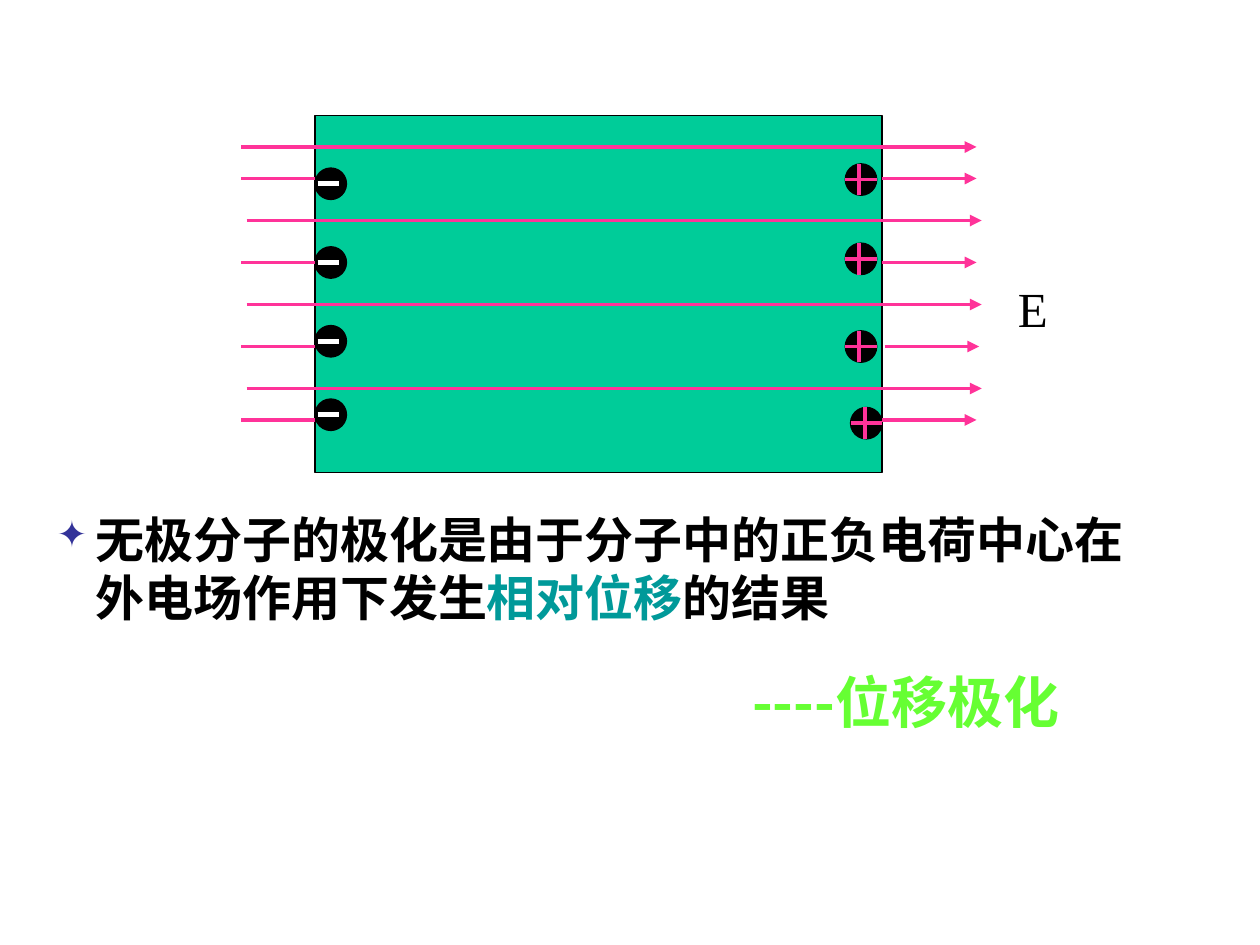
from dataclasses import dataclass

from lxml import etree
from pptx import Presentation
from pptx.dml.color import RGBColor
from pptx.enum import shapes, text
from pptx.oxml.ns import qn
from pptx.util import Inches, Pt

CELL = Inches(1) / 24
CHARGE = 6
PINK, BLACK, WHITE = "FF3399", "000000", "FFFFFF"
CHINESE = "Noto Sans CJK SC"


@dataclass
class Charge:
    column: float
    row: float
    positive: bool


@dataclass
class FieldLine:
    start: float
    end: float
    row: float
    arrow: bool = True


@dataclass
class Span:
    words: str
    size: float
    color: str
    font: str = CHINESE
    bold: bool = True


@dataclass
class Caption:
    column: float
    row: float
    width: float
    height: float
    spans: list[Span]
    wrap: bool = True
    bullet: bool = False


CHARGES = [Charge(60, row, False) for row in (32, 47, 62, 76)] + [
    Charge(161, 31.2, True),
    Charge(161, 46.3, True),
    Charge(161, 63, True),
    Charge(162, 77.6, True),
]
FIELD_LINES = (
    [FieldLine(46, 186, 28)]
    + [FieldLine(47, 187, row) for row in (42, 58, 74)]
    + [FieldLine(46, 60, row, False) for row in (34, 50, 66, 80)]
    + [FieldLine(168, 186, row) for row in (34, 50, 80)]
    + [FieldLine(168.5, 186.5, 66)]
)
CAPTIONS = [
    Caption(191.5, 51.8, 10.5, 13.7,
            [Span("E", 28, BLACK, "Times New Roman", False)], wrap=False),
    Caption(8.4, 95.8, 215.5, 25, [
        Span("无极分子的极化是由于分子中的正负电荷中心在外电场作用下发生", 28, BLACK),
        Span("相对位移", 28, "009999"),
        Span("的结果", 28, BLACK),
    ], bullet=True),
    Caption(140.9, 126, 92.6, 15.1, [Span("----位移极化", 32, "66FF33")]),
]


def grid(cells: float) -> int:
    return round(cells * CELL)


def paint(target, color: str) -> None:
    target.rgb = RGBColor.from_string(color)


def draw_shape(page, kind, column: float, row: float, width: float, height: float, color: str) -> None:
    shape = page.shapes.add_shape(kind, grid(column), grid(row), grid(width), grid(height))
    shape.shadow.inherit = False
    shape.fill.solid()
    paint(shape.fill.fore_color, color)
    paint(shape.line.color, BLACK)
    shape.line.width = Pt(0.75)


def draw_line(page, start: tuple, end: tuple, color: str = PINK,
              width: float = 2.25, arrow: bool = False) -> None:
    line = page.shapes.add_connector(
        shapes.MSO_CONNECTOR.STRAIGHT, *(grid(cells) for cells in start + end))
    paint(line.line.color, color)
    line.line.width = Pt(width)
    if arrow:
        etree.SubElement(line.line._get_or_add_ln(), qn("a:tailEnd"), type="triangle")
    etree.SubElement(line._element.spPr, qn("a:effectLst"))


def draw_charge(page, charge: Charge) -> None:
    left, top = charge.column, charge.row
    middle = top + CHARGE / 2
    draw_shape(page, shapes.MSO_SHAPE.OVAL, left, top, CHARGE, CHARGE, BLACK)
    if charge.positive:
        draw_line(page, (left, middle), (left + CHARGE, middle))
        draw_line(page, (left + 2.7, top), (left + 2.7, top + CHARGE))
    else:
        draw_line(page, (left + 0.5, middle), (left + 4.5, middle), WHITE, 3)


def add_bullet(para) -> None:
    properties = para._p.get_or_add_pPr()
    properties.set("marL", str(Inches(0.31)))
    properties.set("indent", str(Inches(-0.31)))
    color = etree.SubElement(properties, qn("a:buClr"))
    etree.SubElement(color, qn("a:srgbClr"), val="333399")
    etree.SubElement(properties, qn("a:buSzPct"), val="75000")
    etree.SubElement(properties, qn("a:buChar"), char="✦")


def draw_caption(page, caption: Caption) -> None:
    box = page.shapes.add_textbox(
        grid(caption.column), grid(caption.row), grid(caption.width), grid(caption.height))
    frame = box.text_frame
    frame.word_wrap = caption.wrap
    frame.auto_size = text.MSO_AUTO_SIZE.SHAPE_TO_FIT_TEXT
    para = frame.paragraphs[0]
    if caption.bullet:
        add_bullet(para)
    if caption.spans[0].font == CHINESE:
        para.line_spacing = Pt(caption.spans[0].size * 1.2)
    for item in caption.spans:
        span = para.add_run()
        span.text = item.words
        span.font.size = Pt(item.size)
        span.font.bold = item.bold
        span.font.name = item.font
        paint(span.font.color, item.color)
        latin = span._r.get_or_add_rPr().find(qn("a:latin"))
        latin.addnext(etree.Element(qn("a:ea"), typeface=item.font))


def main() -> None:
    deck = Presentation()
    deck.slide_width, deck.slide_height = grid(240), grid(180)
    page = deck.slides.add_slide(deck.slide_layouts[6])
    draw_shape(page, shapes.MSO_SHAPE.RECTANGLE, 60, 22, 108, 68, "00CC99")
    for charge in CHARGES:
        draw_charge(page, charge)
    for field in FIELD_LINES:
        draw_line(page, (field.start, field.row), (field.end, field.row), arrow=field.arrow)
    for caption in CAPTIONS:
        draw_caption(page, caption)
    deck.save("out.pptx")


if __name__ == "__main__":
    main()
